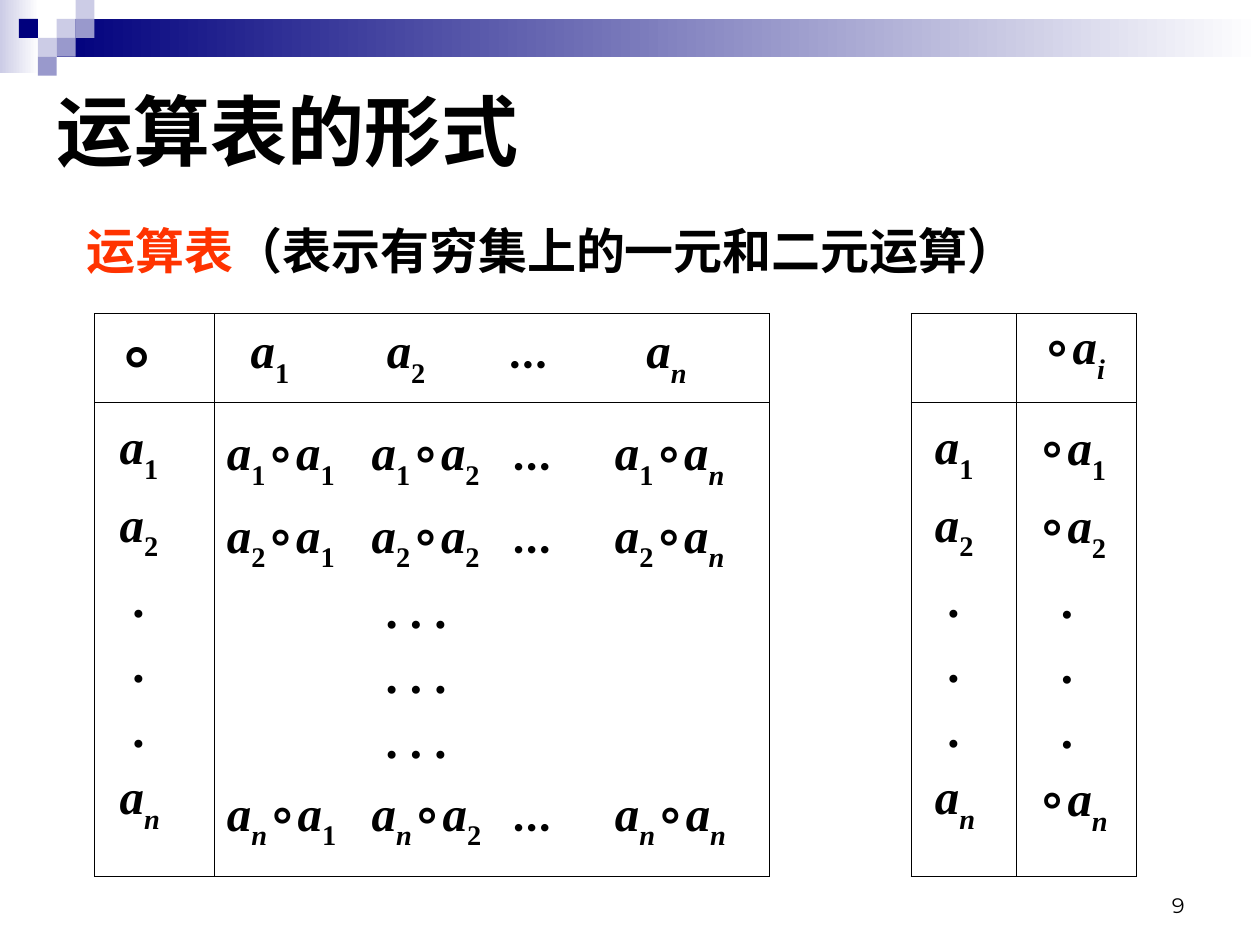
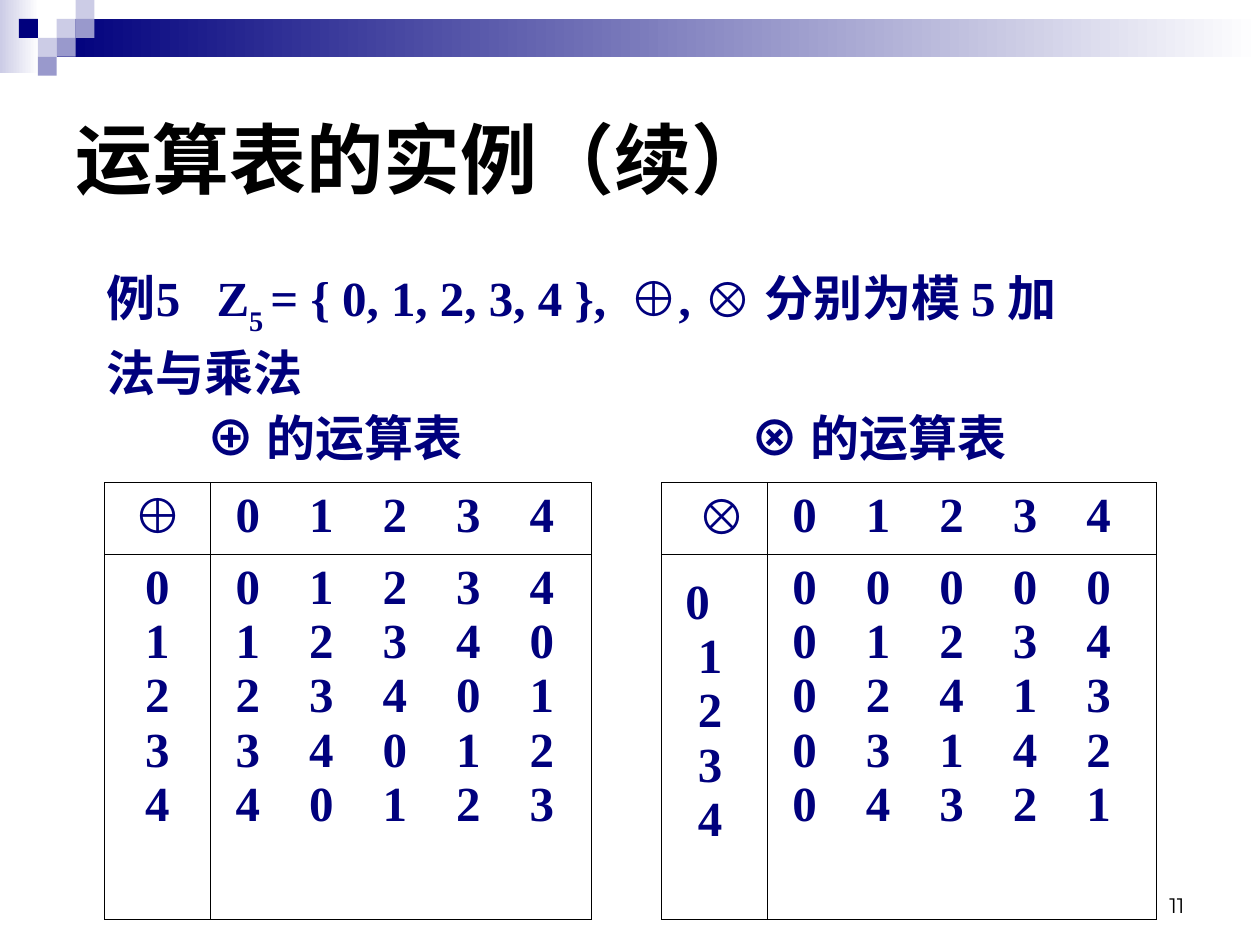
from dataclasses import dataclass
from itertools import groupby

from lxml import etree
from pptx import Presentation
from pptx import util as u
from pptx.dml.color import RGBColor
from pptx.enum import shapes, text
from pptx.oxml.ns import qn

# Shared look; every length is in cells of a 100 x 75 grid
COLUMNS, ROWS = 100, 75
NAVY, LILAC, MAUVE = "00007D", "CCCCE6", "9999CC"
BLACK, WHITE, RED = "000000", "FFFFFF", "FF3300"
SERIF, SANS, NUMBERS, CHINESE = "Times New Roman", "Arial", "Montserrat", "Noto Sans CJK SC"
SYMBOL_FONTS = {"∘": SANS, "⊕": SANS, "⊗": SANS, "…": "Lato"}
VARIABLES = "ain"
LEFT, CENTER, RIGHT = text.PP_ALIGN.LEFT, text.PP_ALIGN.CENTER, text.PP_ALIGN.RIGHT
TOP, MIDDLE, BOTTOM = text.MSO_ANCHOR.TOP, text.MSO_ANCHOR.MIDDLE, text.MSO_ANCHOR.BOTTOM
SQUARE = 1.5
SQUARES = [(3, 1, LILAC), (4, 0, LILAC), (4, 1, MAUVE), (2, 2, LILAC),
           (1, 1, NAVY), (3, 2, MAUVE), (2, 3, MAUVE)]
DIGIT_STEP = 35 / 6  # one digit and its gap: 42 points


@dataclass(frozen=True)
class Box:
    left: float
    top: float
    width: float
    height: float


@dataclass(frozen=True)
class Style:
    size: float = 28
    color: str = BLACK
    font: str = SERIF
    bold: bool = True
    align: text.PP_ALIGN = LEFT
    spacing: float = 1.0


@dataclass(frozen=True)
class Line:
    """One paragraph; an underscore lowers the character after it."""
    words: str
    stops: tuple[float, ...] = ()
    indent: float = 0
    accent: str = ""


@dataclass(frozen=True)
class Entry:
    """The content of one table cell."""
    lines: list[Line]
    style: Style
    left: float = 1
    top: float = 0.5


def grid(cells: float) -> int:
    return u.Inches(cells / 10)


def place(box: Box) -> tuple[int, ...]:
    return tuple(grid(n) for n in (box.left, box.top, box.width, box.height))


def rgb(color: str) -> RGBColor:
    return RGBColor.from_string(color)


# Text
def glyphs(words: str) -> list[tuple[str, bool]]:
    lowered, found = False, []
    for char in words:
        if char == "_":
            lowered = True
        else:
            found.append((char, lowered))
            lowered = False
    return found


def add_runs(paragraph, words: str, color: str | None = None) -> None:
    def look(glyph: tuple[str, bool]):
        char, lowered = glyph
        return SYMBOL_FONTS.get(char), char in VARIABLES, lowered

    for (font, italic, lowered), group in groupby(glyphs(words), look):
        run = paragraph.add_run()
        run.text = "".join(char for char, _ in group)
        if font:
            run.font.name = font
        if italic:
            run.font.italic = True
        if color:
            run.font.color.rgb = rgb(color)
        if lowered:
            run._r.get_or_add_rPr().set("baseline", "-30000")


def write(frame, lines: list[Line], style: Style) -> None:
    for number, line in enumerate(lines):
        paragraph = frame.add_paragraph() if number else frame.paragraphs[0]
        props = paragraph._p.get_or_add_pPr()
        if line.indent:
            props.set("marL", str(grid(line.indent)))
        if line.stops:
            tabs = etree.SubElement(props, qn("a:tabLst"))
            for stop in line.stops:
                etree.SubElement(tabs, qn("a:tab"), pos=str(grid(stop)), algn="l")
        paragraph.alignment = style.align
        paragraph.line_spacing = style.spacing
        font = paragraph.font
        font.size, font.bold, font.name = u.Pt(style.size), style.bold, style.font
        font.color.rgb = rgb(style.color)
        etree.SubElement(props.find(qn("a:defRPr")), qn("a:ea"), typeface=CHINESE)
        if line.accent:
            add_runs(paragraph, line.accent, RED)
        add_runs(paragraph, line.words)


def add_text(slide, box: Box, lines: list[Line], style: Style, anchor=TOP) -> None:
    frame = slide.shapes.add_textbox(*place(box)).text_frame
    frame.word_wrap = True
    frame.vertical_anchor = anchor
    write(frame, lines, style)


# Band, title and page number
def add_block(slide, box: Box, color: str, fade: bool = False) -> None:
    block = slide.shapes.add_shape(shapes.MSO_SHAPE.RECTANGLE, *place(box))
    block.shadow.inherit = False
    block.line.fill.background()
    if fade:
        block.fill.gradient()
        block.fill.gradient_angle = 0
        for stop, shade in zip(block.fill.gradient_stops, (color, WHITE)):
            stop.color.rgb = rgb(shade)
    else:
        block.fill.solid()
        block.fill.fore_color.rgb = rgb(color)


def start_slide(deck, title: str, left: float, top: float, page: int):
    slide = deck.slides.add_slide(deck.slide_layouts[6])
    add_block(slide, Box(0, 0, 3.1, 5.8), LILAC, fade=True)
    add_block(slide, Box(4.5, SQUARE, COLUMNS - 4.5, 3), NAVY, fade=True)
    for column, row, color in SQUARES:
        add_block(slide, Box(column * SQUARE, row * SQUARE, SQUARE, SQUARE), color)
    add_text(slide, Box(71.7, 68.3, 23.3, 5), [Line(str(page))],
             Style(12, font=NUMBERS, bold=False, align=RIGHT), BOTTOM)
    add_text(slide, Box(left, top, 90, 15), [Line(title)], Style(44, font=SANS), MIDDLE)
    return slide


# Operation tables: two ruled tables with an open column between them
def set_borders(cell, ruled: str) -> None:
    props = cell._tc.get_or_add_tcPr()
    for place_in_cell, side in enumerate("LRTB"):
        line = etree.Element(qn(f"a:ln{side}"), w=str(u.Pt(0.45)))
        if side in ruled:
            fill = etree.SubElement(line, qn("a:solidFill"))
            etree.SubElement(fill, qn("a:srgbClr"), val=BLACK)
        else:
            etree.SubElement(line, qn("a:noFill"))
        props.insert(place_in_cell, line)


def add_table_pair(slide, left: float, top: float, widths: list[float],
                   heights: list[float], rows: list[list[Entry | None]]) -> None:
    box = Box(left, top, sum(widths), sum(heights))
    table = slide.shapes.add_table(len(heights), len(widths), *place(box)).table
    table.first_row = table.horz_banding = False
    for column, width in zip(table.columns, widths):
        column.width = grid(width)
    for row, height in zip(table.rows, heights):
        row.height = grid(height)
    gap = len(widths) // 2
    for r, entries in enumerate(rows):
        for c, entry in enumerate(entries):
            cell = table.cell(r, c)
            cell.fill.background()
            set_borders(cell, "LR" if c == gap else "LRTB")
            if entry:
                cell.margin_left, cell.margin_top = grid(entry.left), grid(entry.top)
                write(cell.text_frame, entry.lines, entry.style)
    table.cell(0, gap).merge(table.cell(len(heights) - 1, gap))


# Slide: form of the operation tables
def indexed(prefix: str, dot_indent: float) -> list[Line]:
    first, second, last = (Line(f"{prefix}a_{index}") for index in "12n")
    return [first, second] + [Line(".", indent=dot_indent)] * 3 + [last]


def product_lines() -> list[Line]:
    first, second, last = (
        Line("\t".join([f"a_{i}∘a_1", f"a_{i}∘a_2", "…", f"a_{i}∘a_n"]), (11.5, 22.7, 30.8))
        for i in "12n")
    return [first, second] + [Line(". . .", indent=12.6)] * 3 + [last]


def build_form_slide(deck) -> None:
    slide = start_slide(deck, "运算表的形式", 3.5, 2.8, 9)
    head, body = Style(), Style(spacing=1.2)
    add_table_pair(slide, 7.5, 24.9, [9.5, 44.1, 11.2, 8.4, 9.5], [7, 37.6], [
        [Entry([Line("∘")], Style(36), left=1.8),
         Entry([Line("a_1\ta_2\t…\ta_n", (10.8, 20.5, 31.4))], head, left=2.9),
         None, None,
         Entry([Line("∘a_i")], head, left=2)],
        [Entry(indexed("", 1), body, left=2),
         Entry(product_lines(), body),
         None,
         Entry(indexed("", 1), body, left=1.9),
         Entry(indexed("∘", 1.9), body, left=1.6)],
    ])
    add_text(slide, Box(5.9, 17, 85.8, 5.7),
             [Line("（表示有穷集上的一元和二元运算）", accent="运算表")], Style())


# Slide: addition and multiplication modulo 5
def digit_line(digits: list[int]) -> Line:
    stops = tuple(DIGIT_STEP * k for k in range(1, len(digits)))
    return Line("\t".join(map(str, digits)), stops)


def build_example_slide(deck) -> None:
    slide = start_slide(deck, "运算表的实例（续）", 5, 5, 11)
    add_text(slide, Box(7.5, 20.2, 80.5, 17.1), [
        Line("例5\tZ_5_ = { 0, 1, 2, 3, 4 },\t⊕, ⊗ 分别为模 5 加法与乘法", (8.7, 41.5)),
        Line("\t⊕ 的运算表\t⊗ 的运算表", (7.9, 51.1)),
    ], Style(color=NAVY, spacing=1.1))

    z5 = range(5)
    plain, centered = Style(color=NAVY), Style(color=NAVY, align=CENTER)
    heading = Entry([digit_line(list(z5))], plain, left=2)
    sums = [digit_line([(i + j) % 5 for j in z5]) for i in z5]
    products = [digit_line([i * j % 5 for j in z5]) for i in z5]
    numbers = [Line(str(i)) for i in z5]
    shifted = numbers[:1] + [Line(line.words, indent=1) for line in numbers[1:]]
    add_table_pair(slide, 8.3, 38.3, [8.4, 30.2, 5.6, 8.4, 30.9], [5.7, 29], [
        [Entry([Line("⊕")], centered), heading, None,
         Entry([Line("⊗")], plain, left=2.9), heading],
        [Entry(numbers, centered), Entry(sums, plain, left=2), None,
         Entry(shifted, plain, left=1.9, top=1.7), Entry(products, plain, left=2)],
    ])


def main() -> None:
    deck = Presentation()
    deck.slide_width, deck.slide_height = grid(COLUMNS), grid(ROWS)
    build_form_slide(deck)
    build_example_slide(deck)
    deck.save("out.pptx")


if __name__ == "__main__":
    main()
